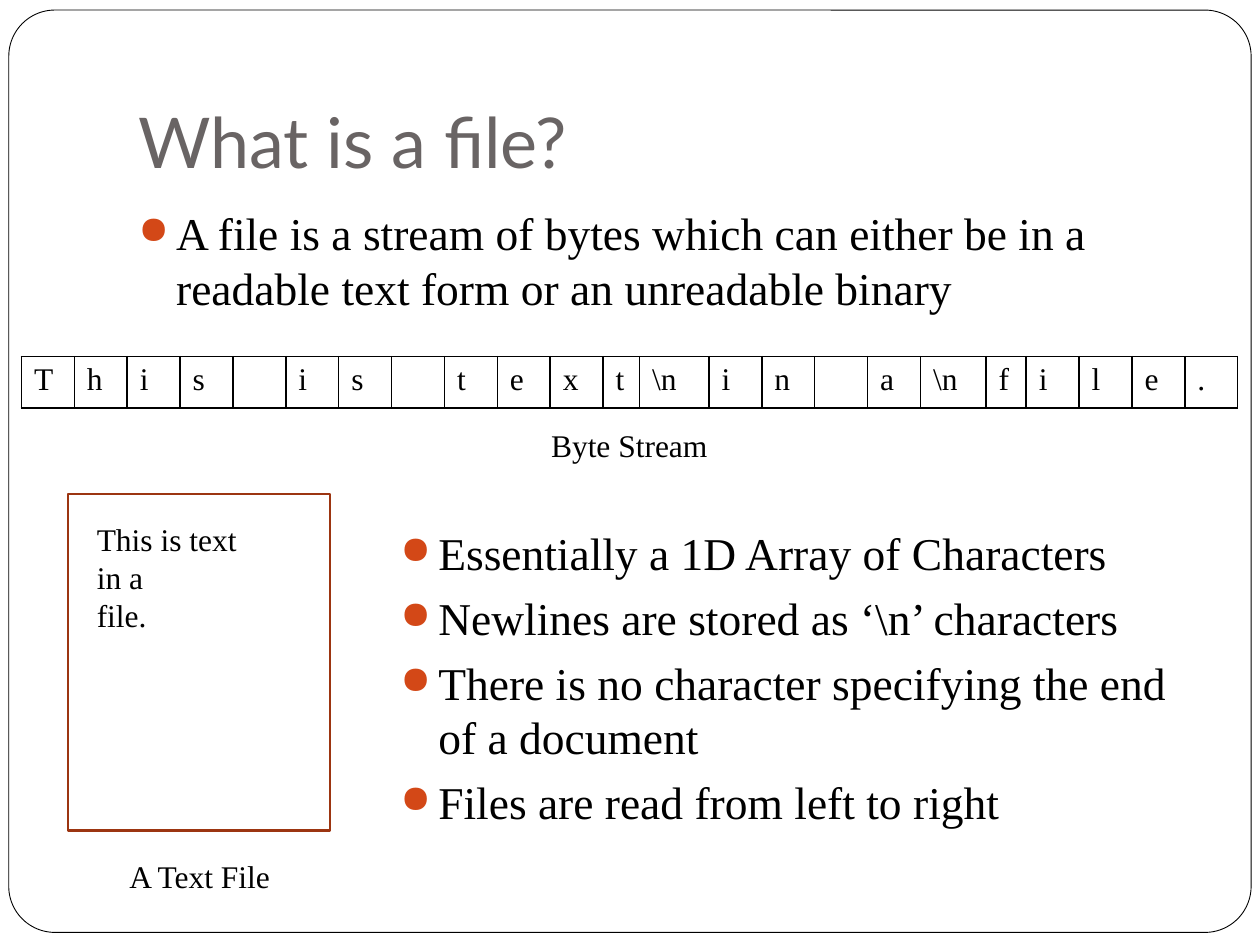
"""Builds a slide that explains a file as a stream of bytes."""
from lxml import etree
from pptx import Presentation
from pptx.dml.color import RGBColor
from pptx.enum.shapes import MSO_SHAPE
from pptx.enum.text import MSO_ANCHOR, PP_ALIGN
from pptx.oxml.ns import qn
from pptx.util import Inches, Pt

ROUND_RECT = MSO_SHAPE.ROUNDED_RECTANGLE
RECT = MSO_SHAPE.RECTANGLE
LEFT, CENTER = PP_ALIGN.LEFT, PP_ALIGN.CENTER
TOP, BOTTOM = MSO_ANCHOR.TOP, MSO_ANCHOR.BOTTOM

BLACK = RGBColor(0x00, 0x00, 0x00)
WHITE = RGBColor(0xFF, 0xFF, 0xFF)
GRAY = RGBColor(0x69, 0x64, 0x64)
RUST = RGBColor(0x9C, 0x35, 0x11)
ORANGE = RGBColor(0xD3, 0x48, 0x17)

BYTES = ["T", "h", "i", "s", "", "i", "s", "", "t", "e", "x", "t", r"\n", "i", "n",
         "", "a", r"\n", "f", "i", "l", "e", "."]
BYTE_WIDTH = 0.42
SPECIAL_WIDTHS = {11: 0.29, 12: 0.55, 17: 0.52, 18: 0.32}


class SlideBuilder:
    """Holds the text style and the current slide."""

    font = "Times New Roman"
    small, large = 18, 26

    def __init__(self, s):
        self.s = s

    def format(self, p, size, color=BLACK, font=None):
        for r in p.runs:
            r.font.size = Pt(size)
            r.font.name = font or self.font
            r.font.color.rgb = color

    def shape(self, kind, box, line, width, fill=None):
        sp = self.s.shapes.add_shape(kind, *map(Inches, box))
        sp.shadow.inherit = False
        if fill is None:
            sp.fill.background()
        else:
            sp.fill.solid()
            sp.fill.fore_color.rgb = fill
        sp.line.color.rgb = line
        sp.line.width = Pt(width)
        return sp

    def text(self, box, lines, size=small, color=BLACK, font=None, align=LEFT, anchor=TOP):
        tf = self.s.shapes.add_textbox(*map(Inches, box)).text_frame
        tf.word_wrap = True
        tf.vertical_anchor = anchor
        tf.text = "\n".join(lines)
        for p in tf.paragraphs:
            p.alignment = align
            self.format(p, size, color, font)
        return tf

    def bullets(self, box, lines):
        for p in self.text(box, lines, self.large).paragraphs:
            p.space_before = Pt(5.8)
            pPr = p._p.get_or_add_pPr()
            pPr.set("marL", str(Inches(0.3)))
            pPr.set("indent", str(-Inches(0.3)))
            color = etree.SubElement(pPr, qn("a:buClr"))
            etree.SubElement(color, qn("a:srgbClr"), val=str(ORANGE))
            etree.SubElement(pPr, qn("a:buSzPct"), val="85000")
            etree.SubElement(pPr, qn("a:buChar"), char="●")

    def border(self, cell):
        tcPr = cell._tc.get_or_add_tcPr()
        for i, side in enumerate(("a:lnL", "a:lnR", "a:lnT", "a:lnB")):
            ln = etree.Element(qn(side), w=str(Pt(1)))
            fill = etree.SubElement(ln, qn("a:solidFill"))
            etree.SubElement(fill, qn("a:srgbClr"), val=str(BLACK))
            tcPr.insert(i, ln)

    def byte_table(self, left, top, height, values, widths):
        frame = self.s.shapes.add_table(1, len(values), Inches(left), Inches(top),
                                        Inches(sum(widths)), Inches(height))
        table = frame.table
        table.first_row = table.horz_banding = False
        for i, (value, width) in enumerate(zip(values, widths)):
            table.columns[i].width = Inches(width)
            cell = table.cell(0, i)
            cell.text_frame.text = value
            self.format(cell.text_frame.paragraphs[0], self.small)
            cell.fill.background()
            self.border(cell)


def main():
    prs = Presentation()
    prs.slide_width, prs.slide_height = Inches(10), Inches(7.5)
    b = SlideBuilder(prs.slides.add_slide(prs.slide_layouts[6]))

    frame = b.shape(ROUND_RECT, (0.07, 0.08, 9.86, 7.32), BLACK, 0.5, WHITE)
    frame.adjustments[0] = 0.05
    title = b.text((1, 0.3, 8.5, 1.25), ["What is a file?"], 40, GRAY, "Lato", anchor=BOTTOM)
    title.margin_bottom = Inches(0.1)
    b.bullets((1, 1.58, 8.5, 1), [
        "A file is a stream of bytes which can either be in a readable text form "
        "or an unreadable binary"])

    b.shape(RECT, (0.54, 3.92, 2.08, 2.67), RUST, 1.5)
    b.text((0.67, 4.08, 1.83, 1.01), ["This is text", "in a", "file."])
    b.text((0.67, 6.75, 1.83, 0.4), ["A Text File"], align=CENTER)

    widths = [SPECIAL_WIDTHS.get(i, BYTE_WIDTH) for i in range(len(BYTES))]
    b.byte_table(0.17, 2.83, 0.41, BYTES, widths)
    b.text((4.08, 3.33, 1.83, 0.4), ["Byte Stream"], align=CENTER)

    b.bullets((3.08, 4.12, 6.58, 3.03), [
        "Essentially a 1D Array of Characters",
        r"Newlines are stored as ‘\n’ characters",
        "There is no character specifying the end of a document",
        "Files are read from left to right"])
    prs.save("out.pptx")


if __name__ == "__main__":
    main()
